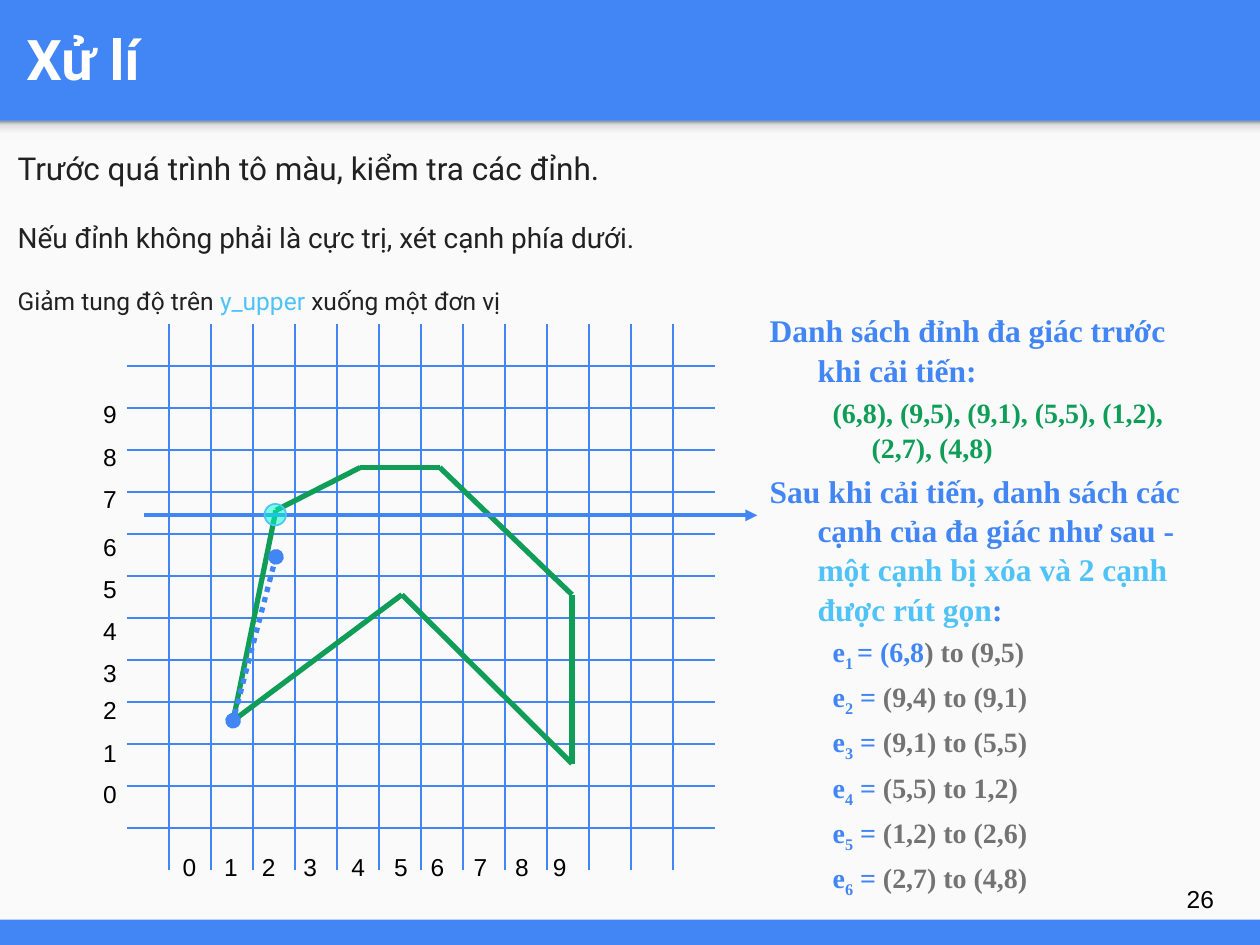
from dataclasses import dataclass
from typing import NamedTuple

from lxml import etree
from pptx import Presentation
from pptx.dml.color import RGBColor
from pptx.enum.dml import MSO_LINE
from pptx.enum.shapes import MSO_CONNECTOR, MSO_SHAPE
from pptx.enum.text import MSO_ANCHOR, MSO_AUTO_SIZE, PP_ALIGN
from pptx.oxml.ns import qn
from pptx.util import Inches, Pt

STRAIGHT = MSO_CONNECTOR.STRAIGHT
RECTANGLE, OVAL = MSO_SHAPE.RECTANGLE, MSO_SHAPE.OVAL
MIDDLE, LEFT = MSO_ANCHOR.MIDDLE, PP_ALIGN.LEFT
NO_AUTOFIT = MSO_AUTO_SIZE.NONE
ROUND_DOT = MSO_LINE.ROUND_DOT


@dataclass(frozen=True)
class Theme:
    blue: str = "4285F4"
    paper: str = "FAFAFA"
    white: str = "FFFFFF"
    black: str = "000000"
    ink: str = "212121"
    grey: str = "737373"
    sky: str = "4FC3F7"
    green: str = "0F9D58"
    mint: str = "00FFCC"
    heading: str = "Roboto"
    label: str = "Arial"
    serif: str = "Times New Roman"
    title_size: int = 32
    large: int = 18
    medium: int = 16
    small: int = 14


THEME = Theme()
BAND_STOPS = ((0, "F9F9F9"), (36, "F9F9F9"), (80, "DEDEDE"), (100, "999999"))


class Box(NamedTuple):
    left: float
    top: float
    width: float
    height: float

    def emu(self) -> list[int]:
        return [Inches(length) for length in self]


class Cell(NamedTuple):
    """A point in columns and rows from the grid's top left corner."""
    col: float
    row: float

    def inches(self) -> tuple[float, float]:
        return 1.01 + self.col / 3, 2.57 + self.row / 3


class Span(NamedTuple):
    text: str
    color: str
    subscript: bool = False


class Style(NamedTuple):
    font: str
    size: int
    bold: bool = False
    level: int = 0
    margin: float = 0
    hanging: float = 0
    spacing: float = 1
    before: float = 0
    after: float = 0


COLUMNS, ROWS = 14, 13
X_LABEL_COLUMNS = (1.02, 2.01, 2.91, 3.9, 5.04, 6.06, 6.93, 7.95, 8.94, 9.84)
Y_LABEL_ROWS = (10.7, 9.71, 8.7, 7.82, 6.8, 5.81, 4.8, 3.66, 2.66, 1.65)
LOWEST, SCANNED = Cell(2.52, 9.45), Cell(3.54, 4.44)
POLYGON = (Cell(7.44, 3.42), Cell(10.59, 6.45), Cell(10.59, 10.47),
           Cell(6.54, 6.45), LOWEST, SCANNED, Cell(5.55, 3.42))

AXIS = Style(THEME.label, THEME.small)
TITLE = Style(THEME.heading, THEME.title_size, bold=True)
STEPS = [Style(THEME.heading, size, level=level, spacing=1.15, after=16)
         for level, size in enumerate((THEME.large, THEME.medium, THEME.small))]
LIST_HEAD = Style(THEME.serif, THEME.large, True, 0, 0.38, -0.38, 1.04, 3.6)
LIST_ITEM = Style(THEME.serif, THEME.medium, True, 1, 0.81, -0.31, 1.04, 3.2)


def rgb(color: str) -> RGBColor:
    return RGBColor.from_string(color)


def write(frame, lines: list[tuple[Style, list[Span]]], inset: float | None = None) -> None:
    frame.word_wrap = True
    frame.auto_size = NO_AUTOFIT
    if inset is not None:
        frame.margin_left = frame.margin_right = Inches(inset)
        frame.margin_top = frame.margin_bottom = Inches(inset)
    for index, (style, spans) in enumerate(lines):
        paragraph = frame.add_paragraph() if index else frame.paragraphs[0]
        paragraph.level = style.level
        paragraph.alignment = LEFT
        paragraph.line_spacing = style.spacing
        paragraph.space_before = Pt(style.before)
        paragraph.space_after = Pt(style.after)
        properties = paragraph._p.get_or_add_pPr()
        properties.set("marL", str(Inches(style.margin)))
        properties.set("indent", str(Inches(style.hanging)))
        etree.SubElement(properties, qn("a:buNone"))
        for span in spans:
            run = paragraph.add_run()
            run.text = span.text
            run.font.name = style.font
            run.font.size = Pt(style.size)
            run.font.bold = style.bold
            run.font.color.rgb = rgb(span.color)
            if span.subscript:
                run._r.get_or_add_rPr().set("baseline", "-25000")


def add_text(slide, box: Box, lines: list[tuple[Style, list[Span]]]):
    frame = slide.shapes.add_textbox(*box.emu()).text_frame
    write(frame, lines)
    return frame


def add_filled(slide, kind: MSO_SHAPE, box: Box, color: str):
    shape = slide.shapes.add_shape(kind, *box.emu())
    shape.shadow.inherit = False
    shape.fill.solid()
    shape.fill.fore_color.rgb = rgb(color)
    shape.line.fill.background()
    return shape


def add_line(slide, start: Cell, end: Cell, color: str, width: float,
             head: str = "none", tail: str = "none", dash: MSO_LINE | None = None) -> None:
    ends = [Inches(v) for v in (*start.inches(), *end.inches())]
    line = slide.shapes.add_connector(STRAIGHT, *ends)
    line.line.color.rgb = rgb(color)
    line.line.width = Pt(width)
    if dash:
        line.line.dash_style = dash
    outline = line.line._get_or_add_ln()
    etree.SubElement(outline, qn("a:headEnd"), type=head)
    etree.SubElement(outline, qn("a:tailEnd"), type=tail)
    etree.SubElement(line._element.spPr, qn("a:effectLst"))


def add_background(slide) -> None:
    slide.background.fill.solid()
    slide.background.fill.fore_color.rgb = rgb(THEME.blue)
    paper = add_filled(slide, RECTANGLE, Box(0, 0.96, 10, 6.34), THEME.paper)
    band = add_filled(slide, RECTANGLE, Box(0, 0.96, 10, 0.16), THEME.paper)
    gradient = etree.Element(qn("a:gradFill"))
    stops = etree.SubElement(gradient, qn("a:gsLst"))
    for position, color in BAND_STOPS:
        stop = etree.SubElement(stops, qn("a:gs"), pos=str(position * 1000))
        etree.SubElement(stop, qn("a:srgbClr"), val=color)
    etree.SubElement(gradient, qn("a:lin"), ang=str(270 * 60000), scaled="0")
    properties = band._element.spPr
    properties.replace(properties.find(qn("a:solidFill")), gradient)
    for depth, shape in enumerate((paper, band), start=2):
        slide.shapes._spTree.insert(depth, shape._element)


def fill_placeholder(holder, box: Box, lines: list[tuple[Style, list[Span]]]) -> None:
    holder.left, holder.top, holder.width, holder.height = box.emu()
    write(holder.text_frame, lines, inset=0.1)


def add_grid(slide) -> None:
    for row in range(1, ROWS):
        add_line(slide, Cell(0, row), Cell(COLUMNS, row), THEME.blue, 1)
    for col in range(1, COLUMNS):
        add_line(slide, Cell(col, 0), Cell(col, ROWS), THEME.blue, 1)
    for number, (col, row) in enumerate(zip(X_LABEL_COLUMNS, Y_LABEL_ROWS)):
        for corner in (Cell(col, 12.42), Cell(-0.87, row)):
            add_text(slide, Box(*corner.inches(), 0.42, 0.5),
                     [(AXIS, [Span(str(number), THEME.black)])])


def add_polygon(slide) -> None:
    for start, end in zip(POLYGON, POLYGON[1:] + POLYGON[:1]):
        add_line(slide, start, end, THEME.green, 3)
    add_line(slide, LOWEST, Cell(3.54, 5.55), THEME.blue, 3, "oval", "oval", ROUND_DOT)
    add_line(slide, Cell(0.39, 4.56), Cell(15, 4.56), THEME.blue, 2.25, tail="triangle")
    marker = add_filled(slide, OVAL, Box(2.1, 4, 0.17, 0.17), THEME.mint)
    tint = marker._element.spPr.find(qn("a:solidFill"))[0]
    etree.SubElement(tint, qn("a:alpha"), val="50000")
    marker.line.color.rgb = rgb(THEME.sky)
    marker.line.width = Pt(1)


def edge_lists() -> list[tuple[Style, list[Span]]]:
    blue, grey = THEME.blue, THEME.grey
    edges = ("(9,4) to (9,1)", "(9,1) to (5,5)", "(5,5) to 1,2)",
             "(1,2) to (2,6)", "(2,7) to (4,8)")
    first = [Span("e", blue), Span("1 ", blue, True), Span("= (6,8", blue), Span(") to (9,5)", grey)]
    others = [[Span("e", blue), Span(str(number), blue, True), Span(" = ", blue), Span(edge, grey)]
              for number, edge in enumerate(edges, start=2)]
    return [
        (LIST_HEAD, [Span("Danh sách đỉnh đa giác trước khi cải tiến:", blue)]),
        (LIST_ITEM, [Span("(6,8), (9,5), (9,1), (5,5), (1,2), (2,7), (4,8)", THEME.green)]),
        (LIST_HEAD, [Span("Sau khi cải tiến, danh sách các cạnh của đa giác như sau - ", blue),
                     Span("một cạnh bị xóa và 2 cạnh được rút gọn", THEME.sky), Span(":", blue)]),
        *((LIST_ITEM, spans) for spans in [first, *others])]


def main() -> None:
    deck = Presentation()
    deck.slide_width, deck.slide_height = Inches(10), Inches(7.5)
    slide = deck.slides.add_slide(deck.slide_layouts[1])
    title, body = slide.placeholders
    add_background(slide)
    fill_placeholder(title, Box(0.11, 0.02, 9.65, 0.88), [(TITLE, [Span("Xử lí", THEME.white)])])
    title.text_frame.vertical_anchor = MIDDLE
    steps = ([Span("Trước quá trình tô màu, kiểm tra các đỉnh.", THEME.ink)],
             [Span("Nếu đỉnh không phải là cực trị, xét cạnh phía dưới.", THEME.ink)],
             [Span("Giảm tung độ trên ", THEME.ink), Span("y_upper ", THEME.sky),
              Span("xuống một đơn vị", THEME.ink)])
    fill_placeholder(body, Box(0.04, 1.04, 8.5, 1.92), list(zip(STEPS, steps)))
    page = add_text(slide, Box(9.32, 6.85, 0.6, 0.57), [(AXIS, [Span("26", THEME.black)])])
    page.vertical_anchor = MIDDLE
    add_grid(slide)
    add_polygon(slide)
    add_text(slide, Box(6.01, 2.41, 3.65, 4.41), edge_lists())
    deck.save("out.pptx")


if __name__ == "__main__":
    main()
